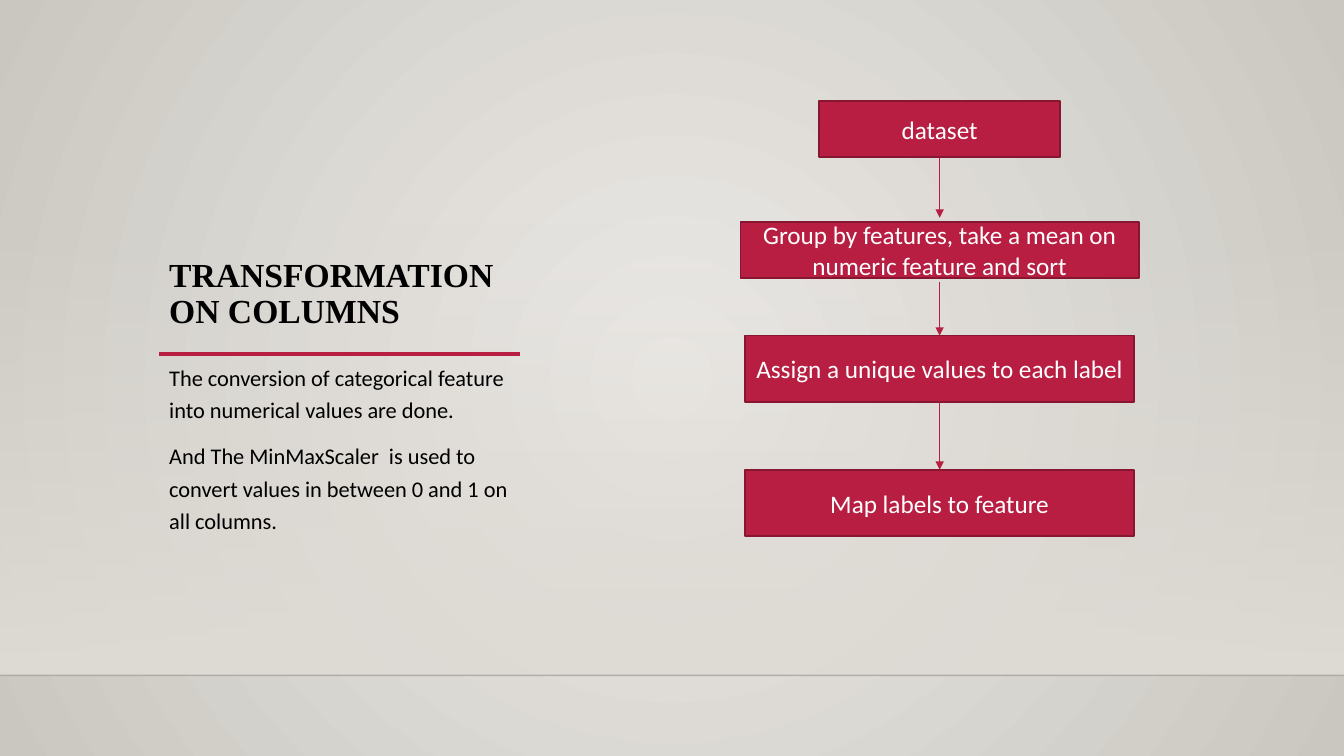
from dataclasses import dataclass
from itertools import pairwise

from pptx import Presentation
from pptx.dml.color import RGBColor
from pptx.enum.shapes import MSO_CONNECTOR as Connector, MSO_SHAPE as Preset
from pptx.enum.text import MSO_ANCHOR as Anchor, PP_ALIGN as Align
from pptx.oxml.ns import qn
from pptx.oxml.xmlchemy import OxmlElement
from pptx.shapes.connector import Connector as Line
from pptx.slide import Slide
from pptx.text.text import TextFrame
from pptx.util import Inches, Pt


@dataclass(frozen=True)
class Theme:
    """Colours, fonts and type sizes of the slide."""
    accent: str = "B71E42"
    accent_dark: str = "871631"
    glow: str = "ECEAE7"
    edge: str = "CAC7C1"
    floor: str = "DFDBD5"
    floor_line: str = "000001"
    ink: str = "000000"
    white: str = "FFFFFF"
    heading_font: str = "Times New Roman"
    body_font: str = "Calibri"
    heading_size: int = 24
    body_size: int = 16
    step_size: int = 18


@dataclass(frozen=True)
class Step:
    """One box of the flow; the gaps part its arrows from its edges."""
    text: str
    top: float
    width: float
    height: float
    gap_above: float = 0
    gap_below: float = 0

    @property
    def bottom(self) -> float:
        """Lower edge in inches."""
        return self.top + self.height


THEME = Theme()
WIDTH, HEIGHT = 13.33, 7.5
FLOOR_TOP, FLOOR_BOTTOM = 2.21, 6.7
TEXT_LEFT, TEXT_WIDTH, TEXT_HEIGHT = 1.58, 3.58, 2.46
TITLE_TOP, RULE_TOP = 0.87, 3.51
FLOW_CENTRE = 9.32

TITLE = ["TRANSFORMATION ON COLUMNS"]
BODY = [
    "The conversion of categorical feature into numerical values are done.",
    "And The MinMaxScaler  is used to convert values in between 0 and 1 on all columns.",
]
STEPS = [
    Step("dataset", 1, 2.39, 0.56),
    Step("Group by features, take a mean on numeric feature and sort", 2.2, 3.95, 0.56,
         gap_above=0.04, gap_below=0.04),
    Step("Assign a unique values to each label", 3.33, 3.86, 0.66),
    Step("Map labels to feature", 4.66, 3.86, 0.66),
]


def colour(value: str) -> RGBColor:
    """Turn a hex string into a colour."""
    return RGBColor.from_string(value)


def set_alpha(colour_element, percent: int) -> None:
    """Set the opacity of a colour element."""
    alpha = OxmlElement("a:alpha")
    alpha.set("val", str(percent * 1000))
    colour_element.append(alpha)


def paint_background(slide: Slide) -> None:
    """Fill the background with a glow from the centre."""
    fill = slide.background.fill
    fill.gradient()
    for stop, value in zip(fill.gradient_stops, (THEME.glow, THEME.edge)):
        stop.color.rgb = colour(value)
    linear = next(slide.background._cSld.iter(qn("a:lin")))
    radial, centre = OxmlElement("a:path"), OxmlElement("a:fillToRect")
    radial.set("path", "circle")
    for side in "ltrb":
        centre.set(side, "50000")
    radial.append(centre)
    linear.getparent().replace(linear, radial)


def add_floor(slide: Slide) -> None:
    """Add the band that fades in downwards."""
    shape = slide.shapes.add_shape(Preset.RECTANGLE, 0, Inches(FLOOR_TOP), Inches(WIDTH),
                                   Inches(FLOOR_BOTTOM - FLOOR_TOP))
    shape.shadow.inherit = False
    shape.line.fill.background()
    shape.fill.gradient()
    shape.fill.gradient_angle = 270
    for stop in shape.fill.gradient_stops:
        stop.color.rgb = colour(THEME.floor)
    set_alpha(next(shape._element.spPr.iter(qn("a:srgbClr"))), 0)


def add_line(slide: Slide, start: tuple[float, float], end: tuple[float, float],
             value: str, width: float) -> Line:
    """Add a straight line without a shadow."""
    line = slide.shapes.add_connector(Connector.STRAIGHT, *map(Inches, (*start, *end)))
    line.line.color.rgb = colour(value)
    line.line.width = Pt(width)
    line._element.spPr.append(OxmlElement("a:effectLst"))
    return line


def add_arrow(slide: Slide, upper: Step, lower: Step) -> None:
    """Point an arrow from one step to the next."""
    line = add_line(slide, (FLOW_CENTRE, upper.bottom + upper.gap_below),
                    (FLOW_CENTRE, lower.top - lower.gap_above), THEME.accent, 0.75)
    head = OxmlElement("a:tailEnd")
    head.set("type", "triangle")
    line.line._get_or_add_ln().append(head)


def write(frame: TextFrame, texts: list[str], anchor: Anchor, font: dict,
          layout: dict) -> None:
    """Write paragraphs with font and paragraph formats."""
    frame.word_wrap = True
    frame.vertical_anchor = anchor
    for index, text in enumerate(texts):
        paragraph = frame.add_paragraph() if index else frame.paragraphs[0]
        run = paragraph.add_run()
        run.text = text
        for name, value in layout.items():
            setattr(paragraph, name, value)
        for name, value in font.items():
            if name == "ink":
                run.font.color.rgb = colour(value)
            else:
                setattr(run.font, name, value)


def add_text(slide: Slide, top: float, texts: list[str], anchor: Anchor, font: dict,
             layout: dict) -> None:
    """Add a text box in the left column."""
    box = slide.shapes.add_textbox(*map(Inches, (TEXT_LEFT, top, TEXT_WIDTH, TEXT_HEIGHT)))
    write(box.text_frame, texts, anchor, font, layout)


def add_step(slide: Slide, step: Step) -> None:
    """Add one box, centred on the flow."""
    left = FLOW_CENTRE - step.width / 2
    shape = slide.shapes.add_shape(
        Preset.RECTANGLE, *map(Inches, (left, step.top, step.width, step.height)))
    shape.shadow.inherit = False
    shape.fill.solid()
    shape.fill.fore_color.rgb = colour(THEME.accent)
    shape.line.color.rgb = colour(THEME.accent_dark)
    shape.line.width = Pt(1.25)
    font = {"name": THEME.body_font, "size": Pt(THEME.step_size), "ink": THEME.white}
    write(shape.text_frame, [step.text], Anchor.MIDDLE, font, {"alignment": Align.CENTER})


def main() -> None:
    """Build and save the slide."""
    presentation = Presentation()
    presentation.slide_width, presentation.slide_height = Inches(WIDTH), Inches(HEIGHT)
    slide = presentation.slides.add_slide(presentation.slide_layouts[6])
    paint_background(slide)
    add_floor(slide)
    horizon = add_line(slide, (0, FLOOR_BOTTOM), (WIDTH, FLOOR_BOTTOM), THEME.floor_line, 1)
    set_alpha(next(horizon._element.spPr.iter(qn("a:srgbClr"))), 20)
    add_line(slide, (TEXT_LEFT, RULE_TOP), (TEXT_LEFT + TEXT_WIDTH, RULE_TOP),
             THEME.accent, 2.5)
    add_text(slide, TITLE_TOP, TITLE, Anchor.BOTTOM,
             {"name": THEME.heading_font, "size": Pt(THEME.heading_size), "bold": True,
              "ink": THEME.ink}, {"line_spacing": 0.9})
    add_text(slide, RULE_TOP, BODY, Anchor.TOP,
             {"name": THEME.body_font, "size": Pt(THEME.body_size), "ink": THEME.ink},
             {"line_spacing": 1.2, "space_before": Pt(10)})
    for step in STEPS:
        add_step(slide, step)
    for upper, lower in pairwise(STEPS):
        add_arrow(slide, upper, lower)
    presentation.save("out.pptx")


main()
